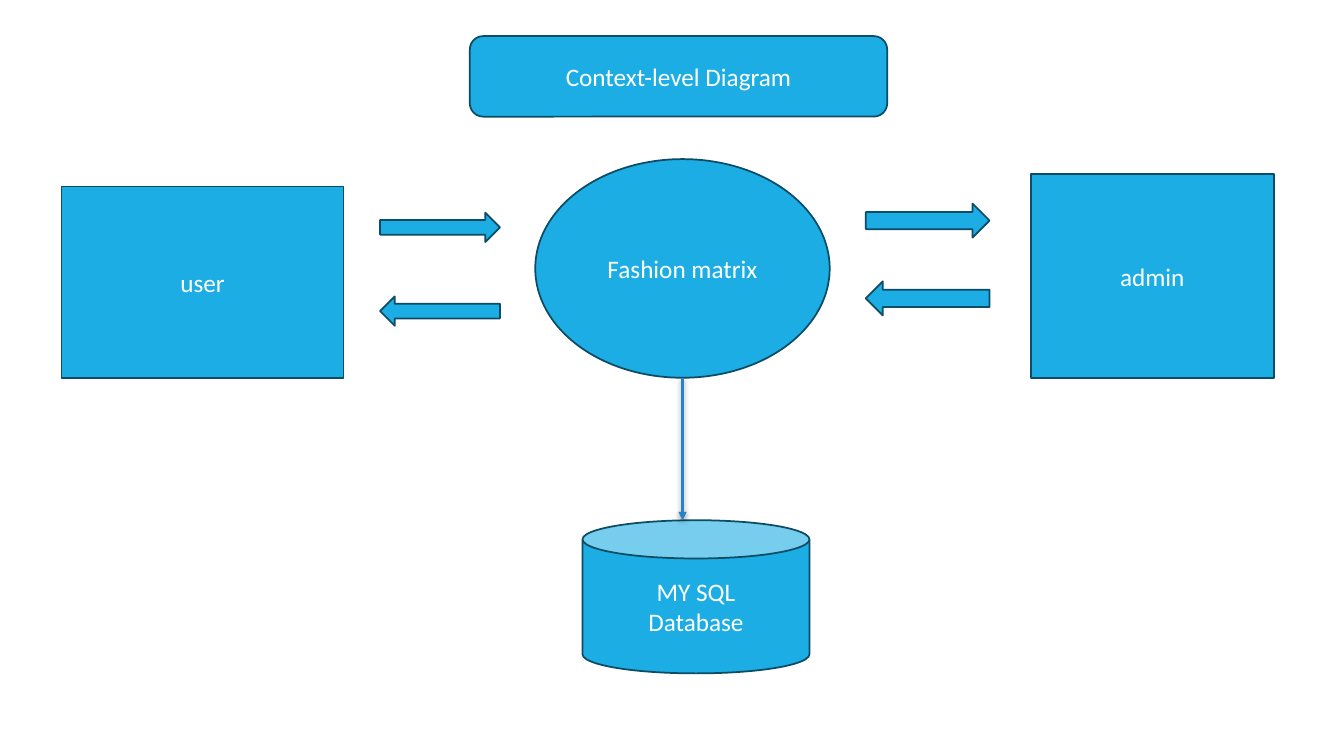
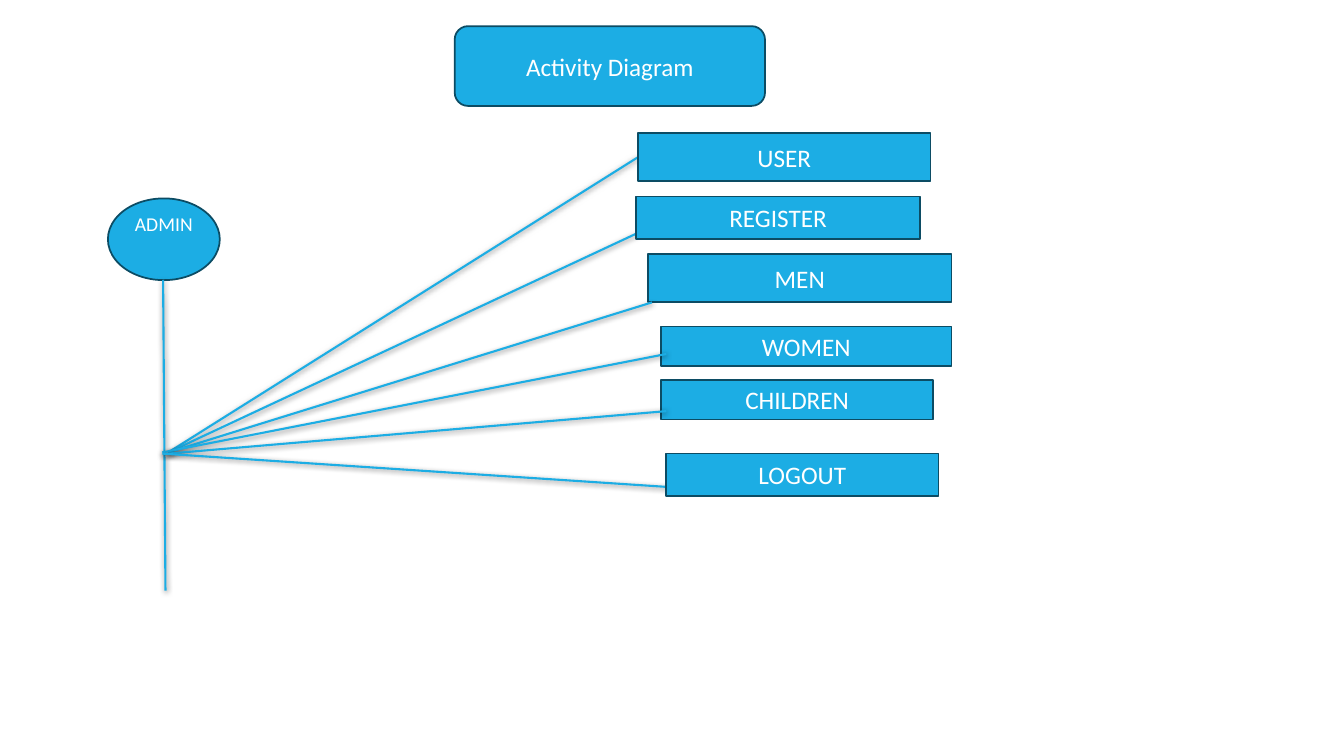
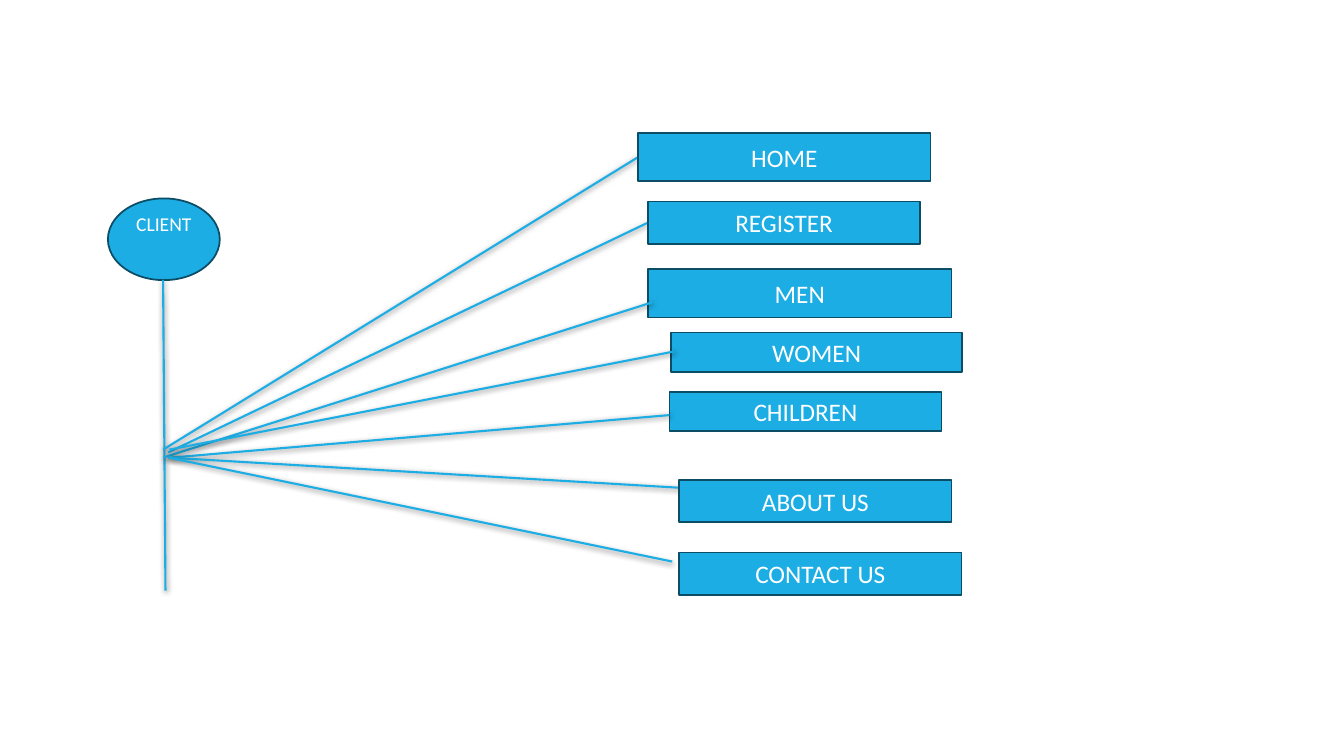
import pptx
import pptx.util
import pptx.dml.color
import pptx.enum.shapes
import pptx.enum.text
import pptx.oxml

Cm, Pt = pptx.util.Cm, pptx.util.Pt
SHAPE = pptx.enum.shapes.MSO_SHAPE
ANCHOR = pptx.enum.text.MSO_ANCHOR

FILL, OUTLINE, ARROW_LINE, TEXT = "1CADE4", "0C4C64", "2683C6", "FFFFFF"
FONT = {"name": "Calibri", "size": Pt(18)}
ACTOR_FONT = {"name": "Calibri", "size": Pt(14)}
ACTOR_FRAME = {"vertical_anchor": ANCHOR.TOP, "margin_top": Cm(0.03),
               "margin_bottom": 0, "margin_left": 0, "margin_right": 0}
NS = 'xmlns:a="http://schemas.openxmlformats.org/drawingml/2006/main"'
SHADOW = (f'<a:effectLst {NS}><a:outerShdw blurRad="50800" dist="12700" dir="5400000" '
          'rotWithShape="0"><a:srgbClr val="000000"><a:alpha val="50000"/></a:srgbClr>'
          '</a:outerShdw></a:effectLst>')

# All positions are in centimetres: left, top, width, height
CONTEXT_TITLE = ("Context-level Diagram", (11.84, 0.91, 10.52, 2.03))
CONTEXT_NODES = [
    (SHAPE.RECTANGLE, "user", (1.55, 4.7, 7.11, 4.83)),
    (SHAPE.OVAL, "Fashion matrix", (13.49, 4.01, 7.42, 5.51)),
    (SHAPE.RECTANGLE, "admin", (25.98, 4.39, 6.12, 5.13)),
    (SHAPE.CAN, "MY SQL\nDatabase", (14.68, 13.11, 5.72, 3.86)),
]
# left, width, height, top of the right arrow, top of the left arrow
ARROW_PAIRS = [(9.58, 3.02, 0.74, 5.36, 7.47), (21.82, 3.12, 0.86, 5.13, 7.09)]
DATABASE_ARROW = ((17.2, 9.53), (17.2, 13.11))

ACTOR_BOX = (2.72, 5, 2.82, 2.06)
LIFELINE = ((4.11, 7.05), (4.17, 14.88))
LINE_OVER_BOX = {"MEN", "WOMEN", "CHILDREN"}
# label, box, line start, line end
ACTIVITIES = [
    {"title": ("Activity Diagram", (11.46, 0.66, 7.82, 2.01)),
     "actor": "ADMIN",
     "actions": [
         ("USER", (16.08, 3.35, 7.37, 1.22), (4.24, 11.4), (16.08, 3.96)),
         ("REGISTER", (16.03, 4.95, 7.16, 1.07), (4.24, 11.4), (16.03, 5.89)),
         ("MEN", (16.33, 6.4, 7.65, 1.22), (4.24, 11.4), (16.43, 7.62)),
         ("WOMEN", (16.66, 8.23, 7.32, 0.99), (4.09, 11.4), (16.79, 8.92)),
         ("CHILDREN", (16.66, 9.58, 6.86, 0.99), (4.24, 11.43), (16.79, 10.36)),
         ("LOGOUT", (16.79, 11.43, 6.86, 1.07), (4.09, 11.43), (17.12, 12.29)),
     ]},
    {"title": None,
     "actor": "CLIENT",
     "actions": [
         ("HOME", (16.08, 3.35, 7.37, 1.22), (4.11, 11.33), (16.08, 3.96)),
         ("REGISTER", (16.33, 5.08, 6.86, 1.07), (4.24, 11.4), (16.33, 5.61)),
         ("MEN", (16.33, 6.78, 7.65, 1.22), (4.11, 11.53), (16.43, 7.62)),
         ("WOMEN", (16.92, 8.38, 7.32, 0.99), (4.27, 11.33), (16.97, 8.86)),
         ("CHILDREN", (16.87, 9.88, 6.86, 0.99), (4.32, 11.53), (16.87, 10.46)),
         ("ABOUT US", (17.12, 12.09, 6.86, 1.07), (4.24, 11.53), (17.12, 12.29)),
         ("CONTACT US", (17.12, 13.92, 7.11, 1.07), (4.24, 11.53), (16.94, 14.15)),
     ]},
]


def set_all(obj, values):
    for name, value in values.items():
        setattr(obj, name, value)


def rgb(color):
    return pptx.dml.color.RGBColor.from_string(color)


def add_node(s, kind, box, text="", font=FONT, frame=None):
    """Add a filled, outlined shape with one centred paragraph per text line."""
    sp = s.shapes.add_shape(kind, *map(Cm, box))
    sp.shadow.inherit = False
    sp.fill.solid()
    sp.fill.fore_color.rgb = rgb(FILL)
    sp.line.color.rgb = rgb(OUTLINE)
    sp.line.width = Pt(1.25)
    if text:
        tf = sp.text_frame
        set_all(tf, {"word_wrap": True, "vertical_anchor": ANCHOR.MIDDLE, **(frame or {})})
        tf.text = text
        for p in tf.paragraphs:
            p.alignment = pptx.enum.text.PP_ALIGN.CENTER
            set_all(p.font, font)
            p.font.color.rgb = rgb(TEXT)


def add_line(s, start, end, color=FILL, arrow=False):
    cn = s.shapes.add_connector(pptx.enum.shapes.MSO_CONNECTOR.STRAIGHT,
                                *map(Cm, start + end))
    cn.line.color.rgb = rgb(color)
    cn.line.width = Pt(1.5)
    if arrow:
        cn.line._get_or_add_ln().append(
            pptx.oxml.parse_xml(f'<a:tailEnd {NS} type="triangle"/>'))
    cn._element.spPr.append(pptx.oxml.parse_xml(SHADOW))


def add_title(s, title):
    text, box = title
    add_node(s, SHAPE.ROUNDED_RECTANGLE, box, text)


def build_context(s):
    add_title(s, CONTEXT_TITLE)
    for kind, text, box in CONTEXT_NODES:
        add_node(s, kind, box, text)
    for left, width, height, right_top, left_top in ARROW_PAIRS:
        add_node(s, SHAPE.RIGHT_ARROW, (left, right_top, width, height))
        add_node(s, SHAPE.LEFT_ARROW, (left, left_top, width, height))
    add_line(s, *DATABASE_ARROW, color=ARROW_LINE, arrow=True)


def build_activity(s, activity):
    if activity["title"]:
        add_title(s, activity["title"])
    add_node(s, SHAPE.FLOWCHART_CONNECTOR, ACTOR_BOX, activity["actor"],
             ACTOR_FONT, ACTOR_FRAME)
    add_line(s, *LIFELINE)
    for label, box, start, end in activity["actions"]:
        over = label in LINE_OVER_BOX
        if not over:
            add_line(s, start, end)
        add_node(s, SHAPE.RECTANGLE, box, label)
        if over:
            add_line(s, start, end)


def main():
    prs = pptx.Presentation()
    prs.slide_width, prs.slide_height = Cm(33.87), Cm(19.05)
    blank = prs.slide_layouts[6]
    build_context(prs.slides.add_slide(blank))
    for activity in ACTIVITIES:
        build_activity(prs.slides.add_slide(blank), activity)
    prs.save("out.pptx")


if __name__ == "__main__":
    main()
